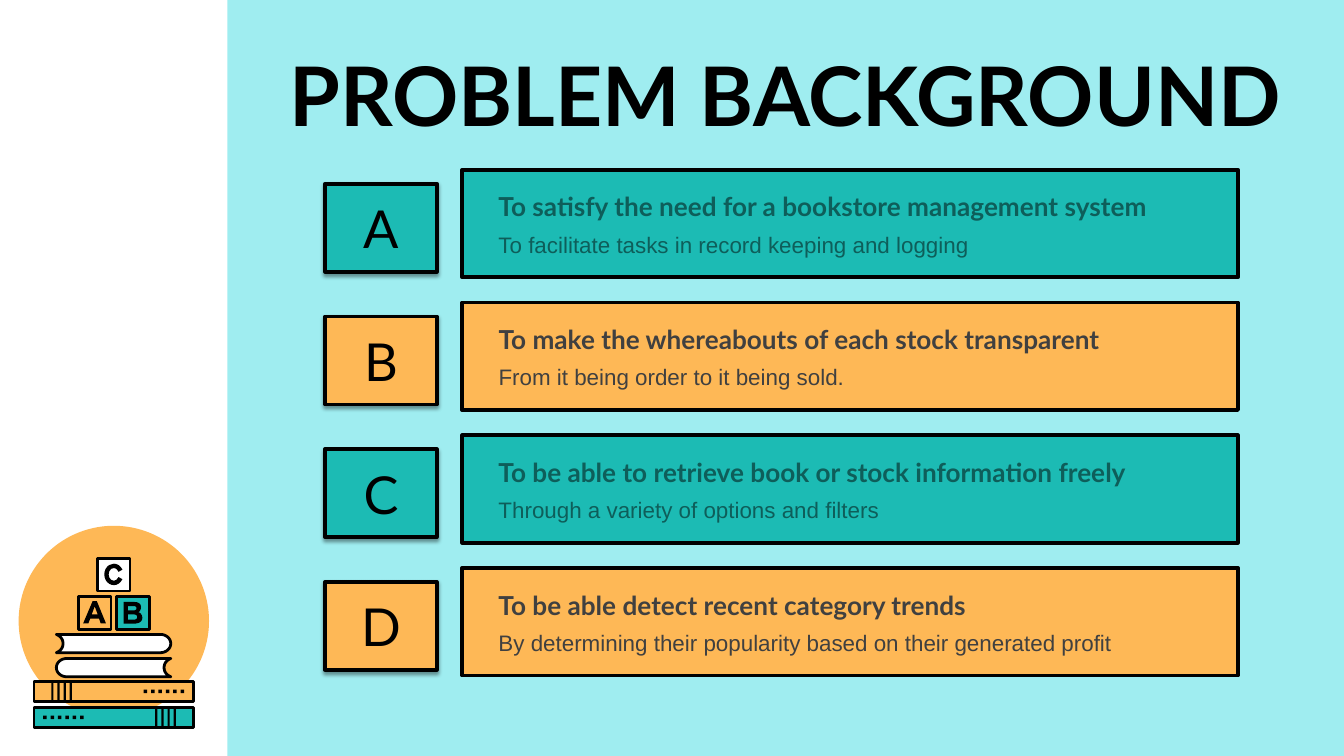
from lxml.etree import SubElement
from pptx import Presentation
from pptx.dml.color import RGBColor
from pptx.enum.shapes import MSO_SHAPE
from pptx.enum.text import MSO_ANCHOR, MSO_AUTO_SIZE, PP_ALIGN
from pptx.oxml import parse_xml
from pptx.oxml.ns import qn
from pptx.util import Pt

AQUA = RGBColor(0x9F, 0xED, 0xF0)
TEAL = RGBColor(0x1C, 0xBB, 0xB4)
ORANGE = RGBColor(0xFE, 0xB8, 0x56)
DARK_TEAL = RGBColor(0x0E, 0x5E, 0x5A)
GRAY = RGBColor(0x40, 0x40, 0x40)
BLACK = RGBColor(0, 0, 0)
WHITE = RGBColor(255, 255, 255)

deck = Presentation()
deck.slide_width, deck.slide_height = Pt(720), Pt(405)
page = deck.slides.add_slide(deck.slide_layouts[5])


def add_block(kind, left, top, width, height, fill, line=0):
    block = page.shapes.add_shape(kind, Pt(left), Pt(top), Pt(width), Pt(height))
    block.shadow.inherit = False
    block.fill.solid()
    block.fill.fore_color.rgb = fill
    if line:
        block.line.color.rgb = BLACK
        block.line.width = Pt(line)
    else:
        block.line.fill.background()
    return block


def add_outline(contours, fill, line=0):
    """Draw closed contours; a step of two numbers is a line, one of six a Bezier curve."""
    builder = None
    for start, *steps in contours:
        points = [start]
        for step in steps:
            if len(step) == 2:
                points.append(step)
                continue
            x0, y0 = points[-1]
            x1, y1, x2, y2, x3, y3 = step
            for i in range(1, 9):
                t = i / 8
                u = 1 - t
                points.append((
                    u**3 * x0 + 3 * u * u * t * x1 + 3 * u * t * t * x2 + t**3 * x3,
                    u**3 * y0 + 3 * u * u * t * y1 + 3 * u * t * t * y2 + t**3 * y3))
        corners = [(Pt(x), Pt(y)) for x, y in points]
        if builder is None:
            builder = page.shapes.build_freeform(*corners[0])
        else:
            builder.move_to(*corners[0])
        builder.add_line_segments(corners[1:], close=True)
    outline = builder.convert_to_shape()
    outline.shadow.inherit = False
    outline.fill.solid()
    outline.fill.fore_color.rgb = fill
    if line:
        outline.line.color.rgb = BLACK
        outline.line.width = Pt(line)
    else:
        outline.line.fill.background()


# Background panel and emblem disc
add_block(MSO_SHAPE.RECTANGLE, 121.8, 0, 598.2, 405, AQUA)
add_block(MSO_SHAPE.OVAL, 10, 281.7, 102, 102, ORANGE)

# Two lying books, the lower one mirrored
for top, fill, mirrored in ((365.2, ORANGE, False), (379.1, TEAL, True)):
    add_block(MSO_SHAPE.RECTANGLE, 18.2, top, 85.4, 10.5, fill, 1.5)
    stripes = [(27.5 + 3.3 * i, top, 1.2, 10.5) for i in range(4)]
    dots = [(77 + 3.95 * i, top + 4.3, 1.9, 1.9) for i in range(6)]
    for left, mark_top, width, height in stripes + dots:
        if mirrored:
            left = 121.8 - left - width
        add_block(MSO_SHAPE.RECTANGLE, left, mark_top, width, height, BLACK)

# Letter cubes
for left, top, fill in ((41.9, 319.7, ORANGE), (62.3, 319.7, TEAL), (52.1, 299.1, WHITE)):
    add_block(MSO_SHAPE.RECTANGLE, left, top, 17.6, 17.5, fill, 1.5)

LETTER_A = [
    [(49.7, 322), (51.9, 322), (56.8, 334), (54, 334), (53.1, 331.4),
     (48.4, 331.4), (47.4, 334), (44.6, 334)],
    [(50.8, 324.9), (49.2, 329.1), (52.4, 329.1)],
]
LETTER_B = [
    [(66.2, 322.5), (72, 322.5), (74.9, 322.5, 75.6, 324.2, 75.6, 325.2),
     (75.6, 326.6, 74.9, 327.6, 74.2, 328),
     (75.6, 328.4, 76.3, 329.8, 76.3, 331),
     (76.3, 333.2, 74.2, 334.1, 72, 334.1), (66.2, 334.1)],
    [(68.5, 324.7), (68.5, 327), (72, 327), (73.6, 327, 73.6, 324.7, 72, 324.7)],
    [(68.5, 329.2), (68.5, 332), (72, 332), (74.1, 332, 74.1, 329.2, 72, 329.2)],
]
for letter in (LETTER_A, LETTER_B):
    add_outline(letter, BLACK)
letter_c = add_block(MSO_SHAPE.BLOCK_ARC, 55.9, 302, 10.2, 11.5, BLACK)
for i, value in enumerate((17.57, 198.9, 0.23)):
    letter_c.adjustments[i] = value

# Two white books, the lower one mirrored
for top, mirrored in ((339.9, False), (352.8, True)):
    book = [
        (30.2, top), (85.9, top),
        (89, top, 91.5, top + 2.2, 91.5, top + 4.9),
        (91.5, top + 7.6, 89, top + 9.8, 85.9, top + 9.8), (30.2, top + 9.8),
        (32.4, top + 9, 33.8, top + 7.1, 33.8, top + 4.9),
        (33.8, top + 2.7, 32.4, top + 0.8, 30.2, top)]
    if mirrored:
        book = [tuple(121.7 - n if i % 2 == 0 else n for i, n in enumerate(step))
                for step in book]
    add_outline([book], WHITE, 1.5)

# Title, brought in front of the panel
title = page.shapes.title
page.shapes._spTree.append(title._element)
for name, value in dict(left=130.3, top=19.4, width=581, height=61.2).items():
    setattr(title, name, Pt(value))
title.text_frame.text = "PROBLEM BACKGROUND"
title.text_frame.word_wrap = True
title.text_frame.vertical_anchor = MSO_ANCHOR.MIDDLE
para = title.text_frame.paragraphs[0]
para.alignment = PP_ALIGN.CENTER
for name, value in dict(name="Lato", size=Pt(44), bold=True).items():
    setattr(para.font, name, value)
para.font.color.rgb = BLACK

# Lettered rows: letter, heading, heading width, detail, detail width
ROWS = [
    ("A", "To satisfy the need for a bookstore management system", 374.4,
     "To facilitate tasks in record keeping and logging", 440),
    ("B", "To make the whereabouts of each stock transparent", 434,
     "From it being order to it being sold.", 434),
    ("C", "To be able to retrieve book or stock information freely", 374.4,
     "Through a variety of options and filters", 440),
    ("D", "To be able detect recent category trends", 374.4,
     "By determining their popularity based on their generated profit", 422.6),
]
SHADOW = (
    '<a:outerShdw xmlns:a="http://schemas.openxmlformats.org/drawingml/2006/main" '
    'blurRad="25400" dist="19050" dir="5400000" rotWithShape="0">'
    '<a:srgbClr val="000000"><a:alpha val="40000"/></a:srgbClr></a:outerShdw>')

for i, (letter, heading, heading_width, detail, detail_width) in enumerate(ROWS):
    top = 91 + 71.1 * i
    fill, ink = ((TEAL, DARK_TEAL), (ORANGE, GRAY))[i % 2]

    badge = add_block(MSO_SHAPE.RECTANGLE, 174.2, top + 7.4, 59.8, 47.2, fill, 2)
    badge._element.spPr.find(qn("a:effectLst")).append(parse_xml(SHADOW))
    badge.text_frame.text = letter
    badge.text_frame.word_wrap = False
    badge.text_frame.vertical_anchor = MSO_ANCHOR.MIDDLE
    para = badge.text_frame.paragraphs[0]
    para.alignment = PP_ALIGN.CENTER
    para.font.name, para.font.size = "Lato", Pt(28)
    para.font.color.rgb = BLACK

    add_block(MSO_SHAPE.RECTANGLE, 247.6, top, 415.6, 57.6, fill, 2)
    for text, offset, width, height, look in (
            (heading, 7.7, heading_width, 24.2, dict(name="Lato", size=Pt(14), bold=True)),
            (detail, 29.1, detail_width, 21.8, dict(name="Arial", size=Pt(12), bold=False))):
        box = page.shapes.add_textbox(Pt(260), Pt(top + offset), Pt(width), Pt(height))
        box.text_frame.text = text
        box.text_frame.word_wrap = True
        box.text_frame.auto_size = MSO_AUTO_SIZE.SHAPE_TO_FIT_TEXT
        para = box.text_frame.paragraphs[0]
        for name, value in look.items():
            setattr(para.font, name, value)
        para.font.color.rgb = ink

deck.save("out.pptx")
